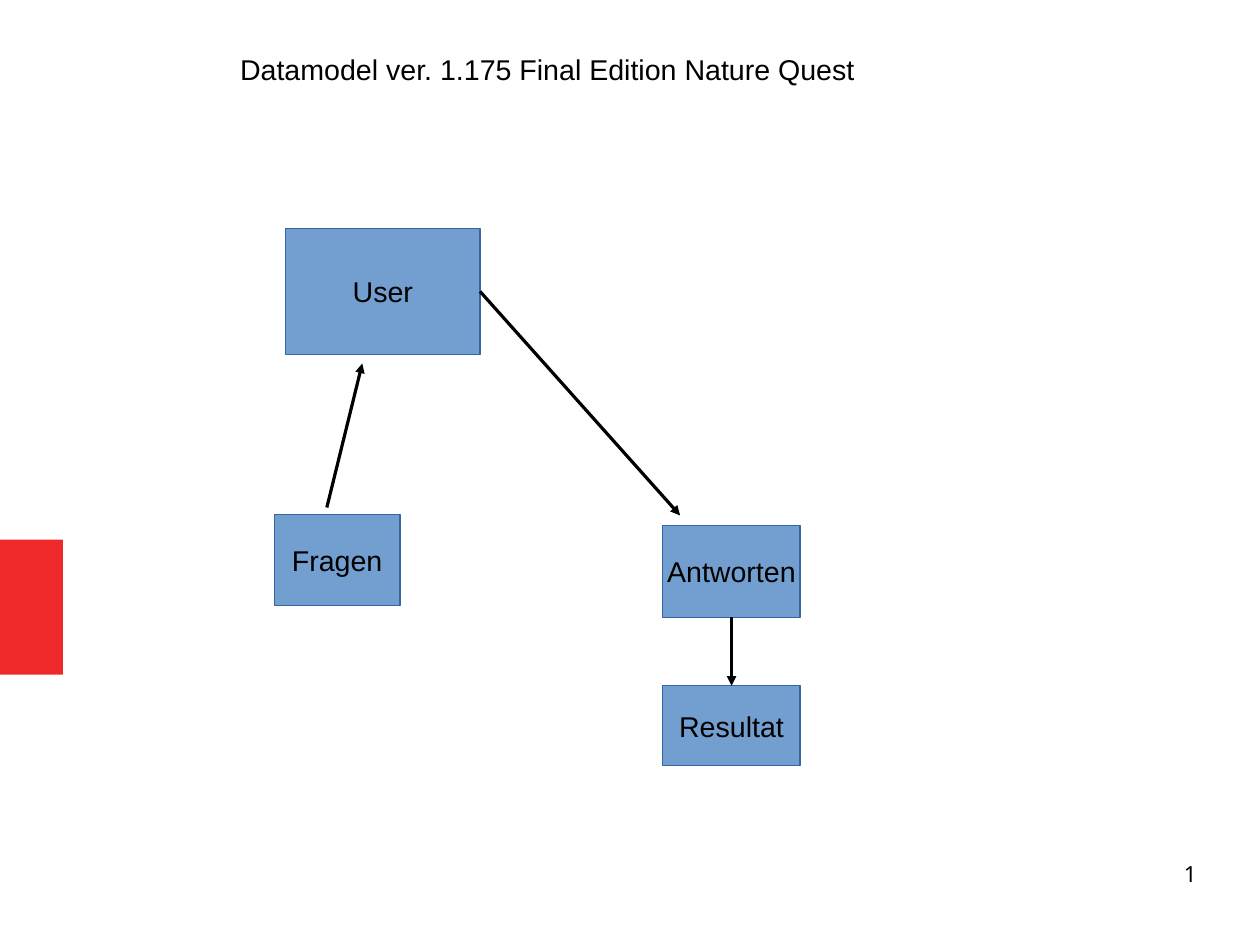
from lxml import etree
from pptx import Presentation
from pptx.dml.color import RGBColor
from pptx.enum import shapes, text
from pptx.oxml import ns
from pptx.util import Pt

BLUE = RGBColor(0x72, 0x9F, 0xCF)
DARK_BLUE = RGBColor(0x34, 0x65, 0xA4)
RED = RGBColor(0xEF, 0x29, 0x29)
BLACK = RGBColor(0, 0, 0)
WHITE = RGBColor(0xFF, 0xFF, 0xFF)

RIGHT_SIDE, BOTTOM_SIDE, TOP_SIDE = 3, 2, 0

ENTITIES = {
    "Fragen": (172.8, 324, 79.2, 57.6),
    "Antworten": (417.6, 331.2, 86.4, 57.6),
    "Resultat": (417.6, 432, 86.4, 50.4),
    "User": (180, 144, 122.4, 79.2),
}


def place(box, left, top, width, height):
    box.left, box.top = Pt(left), Pt(top)
    box.width, box.height = Pt(width), Pt(height)


def write(box, words, align, size=18, font="Arial", margins=(7.2, 3.6)):
    frame = box.text_frame
    frame.margin_left = frame.margin_right = Pt(margins[0])
    frame.margin_top = frame.margin_bottom = Pt(margins[1])
    para = frame.paragraphs[0]
    para.alignment = align
    span = para.add_run()
    span.text = words
    span.font.size = Pt(size)
    span.font.name = font
    span.font.color.rgb = BLACK


def add_block(page, place_at, fill):
    block = page.shapes.add_shape(
        shapes.MSO_SHAPE.RECTANGLE, *[Pt(length) for length in place_at])
    block.shadow.inherit = False
    block.fill.solid()
    block.fill.fore_color.rgb = fill
    block.line.fill.background()
    return block


def add_entity(page, name, place_at):
    entity = add_block(page, place_at, BLUE)
    entity.line.color.rgb = DARK_BLUE
    entity.line.width = Pt(0)
    write(entity, name, text.PP_ALIGN.CENTER)
    entity.text_frame.word_wrap = False
    entity.text_frame.vertical_anchor = text.MSO_ANCHOR.MIDDLE
    return entity


def add_arrow(page, start=(0, 0), end=(0, 0)):
    arrow = page.shapes.add_connector(
        shapes.MSO_CONNECTOR.STRAIGHT, *[Pt(length) for length in start + end])
    arrow.line.color.rgb = BLACK
    arrow.line.width = Pt(0)
    properties = arrow.element.spPr
    line = properties.find(ns.qn("a:ln"))
    etree.SubElement(line, ns.qn("a:tailEnd"), type="triangle")
    etree.SubElement(properties, ns.qn("a:effectLst"))
    return arrow


def add_title(page, words):
    title = page.shapes.title
    place(title, 144, 28.8, 504, 27.4)
    write(title, words, text.PP_ALIGN.LEFT)
    title.text_frame.word_wrap = True
    title.text_frame.vertical_anchor = text.MSO_ANCHOR.TOP
    title.text_frame.auto_size = text.MSO_AUTO_SIZE.SHAPE_TO_FIT_TEXT


def add_page_number(page, number):
    box = page.shapes.add_textbox(Pt(568.8), Pt(542.2), Pt(185), Pt(41))
    write(box, number, text.PP_ALIGN.RIGHT, 14, "Noto Sans", (0, 0))
    box.text_frame.word_wrap = True


def main():
    deck = Presentation()
    deck.slide_width, deck.slide_height = Pt(793.7), Pt(595.3)
    page = deck.slides.add_slide(deck.slide_layouts[5])
    page.background.fill.solid()
    page.background.fill.fore_color.rgb = WHITE

    add_title(page, "Datamodel ver. 1.175 Final Edition Nature Quest")
    add_block(page, (0, 340, 39.6, 85), RED)
    entities = {name: add_entity(page, name, place_at)
                for name, place_at in ENTITIES.items()}

    add_arrow(page, (205.9, 319.7), (228.2, 229))
    to_answers = add_arrow(page, end=(428.4, 324.7))
    to_answers.begin_connect(entities["User"], RIGHT_SIDE)
    to_result = add_arrow(page)
    to_result.begin_connect(entities["Antworten"], BOTTOM_SIDE)
    to_result.end_connect(entities["Resultat"], TOP_SIDE)

    add_page_number(page, "1")
    deck.save("out.pptx")


if __name__ == "__main__":
    main()
